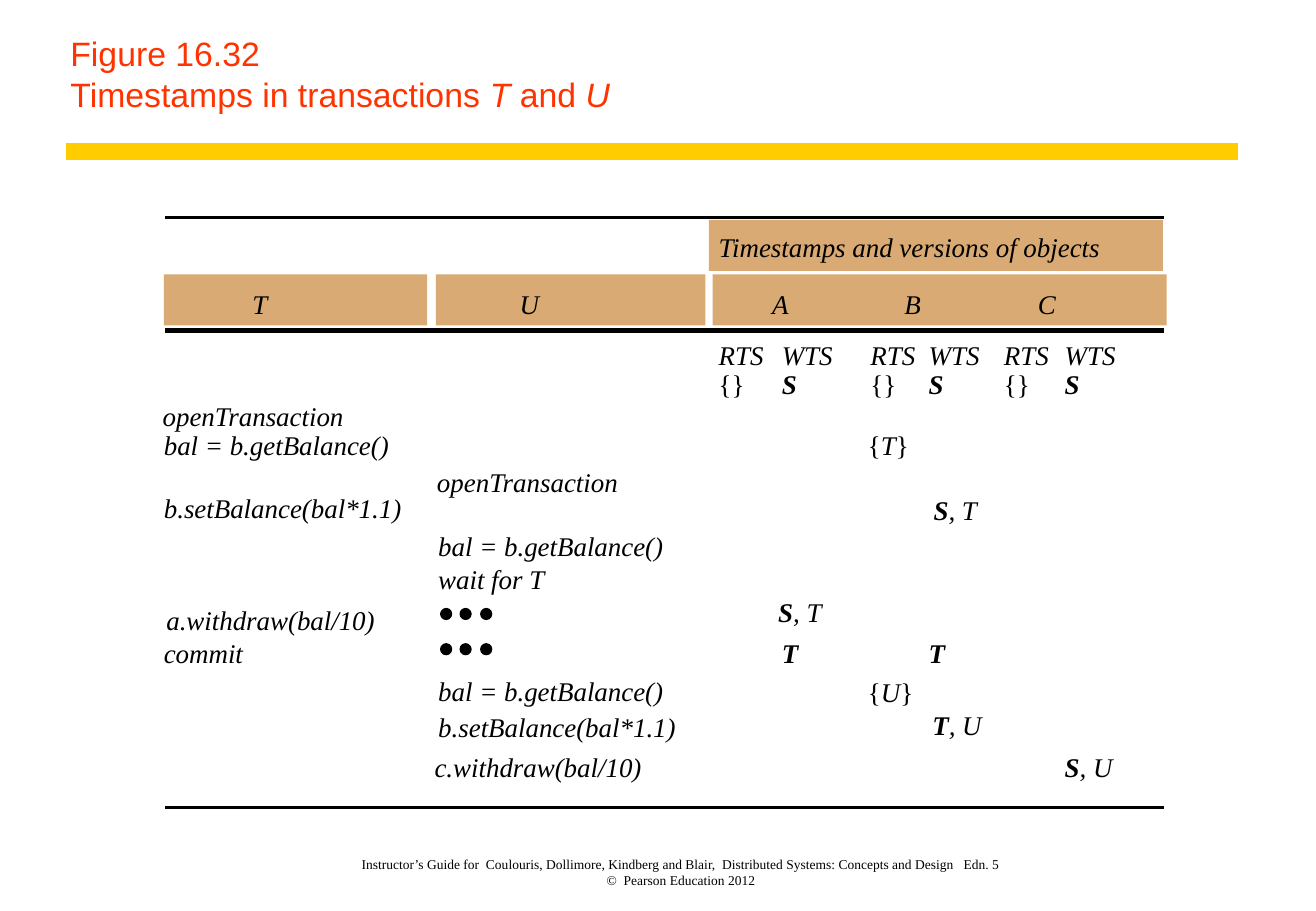
from dataclasses import dataclass

from pptx import Presentation
from pptx.dml.color import RGBColor
from pptx.enum.shapes import MSO_CONNECTOR, MSO_SHAPE
from pptx.enum.text import MSO_ANCHOR, MSO_AUTO_SIZE, PP_ALIGN
from pptx.oxml.ns import qn
from pptx.util import Emu, Pt
from lxml.etree import SubElement

PX = 9144
SLACK = 10
COLORS = {"title": "FF3300", "gold": "FFCC00", "tan": "D9AA73", "black": "000000"}
SERIF, SANS = "Times New Roman", "Arial"


@dataclass(frozen=True)
class Run:
    text: str
    bold: bool = False
    italic: bool = False


@dataclass(frozen=True)
class Label:
    left: int
    top: int
    width: int
    runs: tuple[Run, ...]
    height: int = 27


@dataclass(frozen=True)
class Rule:
    left: int
    right: int
    y: int
    weight: int
    color: str = "black"


@dataclass(frozen=True)
class Block:
    left: int
    top: int
    width: int
    height: int
    color: str
    kind: MSO_SHAPE = MSO_SHAPE.RECTANGLE
    outline: bool = False


@dataclass(frozen=True)
class VersionColumn:
    name: str
    name_left: int
    rts: int
    wts: int


def px(n: int) -> Emu:
    return Emu(n * PX)


def rgb(name: str) -> RGBColor:
    return RGBColor.from_string(COLORS[name])


def plain(text: str) -> Run:
    return Run(text)


def ital(text: str) -> Run:
    return Run(text, italic=True)


def strong(text: str) -> Run:
    return Run(text, bold=True, italic=True)


def draw_label(s, label: Label, size: int = 16, font: str = SERIF, color: str = "black",
               align: PP_ALIGN = PP_ALIGN.LEFT, anchor: MSO_ANCHOR = MSO_ANCHOR.TOP) -> None:
    sp = s.shapes.add_textbox(px(label.left), px(label.top), px(label.width + SLACK), px(label.height))
    tf = sp.text_frame
    tf.margin_left = tf.margin_right = tf.margin_top = tf.margin_bottom = 0
    tf.word_wrap = True
    tf.auto_size = MSO_AUTO_SIZE.NONE
    tf.vertical_anchor = anchor
    p = tf.paragraphs[0]
    p.alignment = align
    for run in label.runs:
        if run.text == "\n":
            p.add_line_break()
            continue
        r = p.add_run()
        r.text = run.text
        r.font.name, r.font.size = font, Pt(size)
        r.font.bold, r.font.italic = run.bold, run.italic
        r.font.color.rgb = rgb(color)


def draw_rule(s, rule: Rule) -> None:
    y = px(rule.y)
    line = s.shapes.add_connector(MSO_CONNECTOR.STRAIGHT, px(rule.left), y, px(rule.right), y)
    line.line.color.rgb = rgb(rule.color)
    line.line.width = Pt(rule.weight)
    SubElement(line._element.spPr, qn("a:effectLst"))


def draw_block(s, block: Block) -> None:
    sp = s.shapes.add_shape(block.kind, px(block.left), px(block.top), px(block.width), px(block.height))
    sp.shadow.inherit = False
    sp.fill.solid()
    sp.fill.fore_color.rgb = rgb(block.color)
    if block.outline:
        sp.line.color.rgb = rgb(block.color)
        sp.line.width = Pt(0.75)
    else:
        sp.line.fill.background()


TITLE = Label(58, 6, 938, (plain("Figure 16.32"), plain("\n"), plain("Timestamps in transactions "),
                           ital("T"), plain(" and "), ital("U")), 88)
FOOTER = Label(235, 692, 642, (
    plain("Instructor’s Guide for  Coulouris, Dollimore, Kindberg and Blair,  "
          "Distributed Systems: Concepts and Design   Edn. 5"),
    plain("\n"), plain("©  Pearson Education 2012")), 39)

RULES = [Rule(54, 1020, 125, 10, "gold"), Rule(136, 959, 179, 2),
         Rule(136, 959, 272, 3), Rule(136, 959, 665, 2)]
HEADER_BLOCKS = [Block(left, top, width, 42, "tan") for left, top, width in (
    (587, 226, 374), (359, 226, 222), (135, 226, 217), (584, 181, 374))]
WAIT_DOTS = [Block(left, top, 9, 9, "black", MSO_SHAPE.OVAL, True)
             for top in (501, 530) for left in (363, 379, 396)]

VERSIONS = [VersionColumn("A", 636, 592, 644), VersionColumn("B", 745, 717, 765),
            VersionColumn("C", 855, 827, 877)]

LABELS = [
    Label(592, 190, 315, (ital("Timestamps and versions of objects"),)),
    Label(208, 237, 14, (ital("T"),)),
    Label(428, 237, 16, (ital("U"),)),
    Label(134, 329, 150, (ital("openTransaction"),)),
    Label(135, 353, 186, (ital("bal = b.getBalance()"),)),
    Label(135, 405, 196, (ital("b.setBalance(bal*1.1)"),)),
    Label(137, 497, 172, (ital("a.withdraw(bal/10)"),)),
    Label(135, 524, 66, (ital("commit"),)),
    Label(360, 383, 150, (ital("openTransaction"),)),
    Label(361, 436, 186, (ital("bal = b.getBalance()"),)),
    Label(361, 463, 88, (ital("wait for T"),)),
    Label(361, 555, 186, (ital("bal = b.getBalance()"),)),
    Label(361, 585, 196, (ital("b.setBalance(bal*1.1)"),)),
    Label(358, 618, 172, (ital("c.withdraw(bal/10)"),)),
    Label(715, 353, 34, (plain("{"), ital("T"), plain("}"))),
    Label(769, 406, 38, (strong("S"), ital(", T"))),
    Label(641, 490, 38, (strong("S"), ital(", T"))),
    Label(644, 524, 14, (strong("T"),)),
    Label(765, 524, 14, (strong("T"),)),
    Label(715, 556, 37, (plain("{"), ital("U"), plain("}"))),
    Label(768, 583, 41, (strong("T"), ital(", U"))),
    Label(877, 618, 41, (strong("S"), ital(", U"))),
]
for column in VERSIONS:
    LABELS += [
        Label(column.name_left, 237, 15, (ital(column.name),)),
        Label(column.rts, 279, 37, (ital("RTS"),)),
        Label(column.wts, 279, 42, (ital("WTS"),)),
        Label(column.rts, 303, 22, (plain("{}"),)),
        Label(column.wts, 303, 12, (strong("S"),)),
    ]


def main() -> None:
    prs = Presentation()
    prs.slide_width, prs.slide_height = px(1084), px(750)
    s = prs.slides.add_slide(prs.slide_layouts[6])
    draw_label(s, FOOTER, 8, align=PP_ALIGN.CENTER, anchor=MSO_ANCHOR.BOTTOM)
    draw_label(s, TITLE, 20, SANS, "title", anchor=MSO_ANCHOR.BOTTOM)
    for block in HEADER_BLOCKS + WAIT_DOTS:
        draw_block(s, block)
    for rule in RULES:
        draw_rule(s, rule)
    for label in LABELS:
        draw_label(s, label)
    prs.save("out.pptx")


if __name__ == "__main__":
    main()
